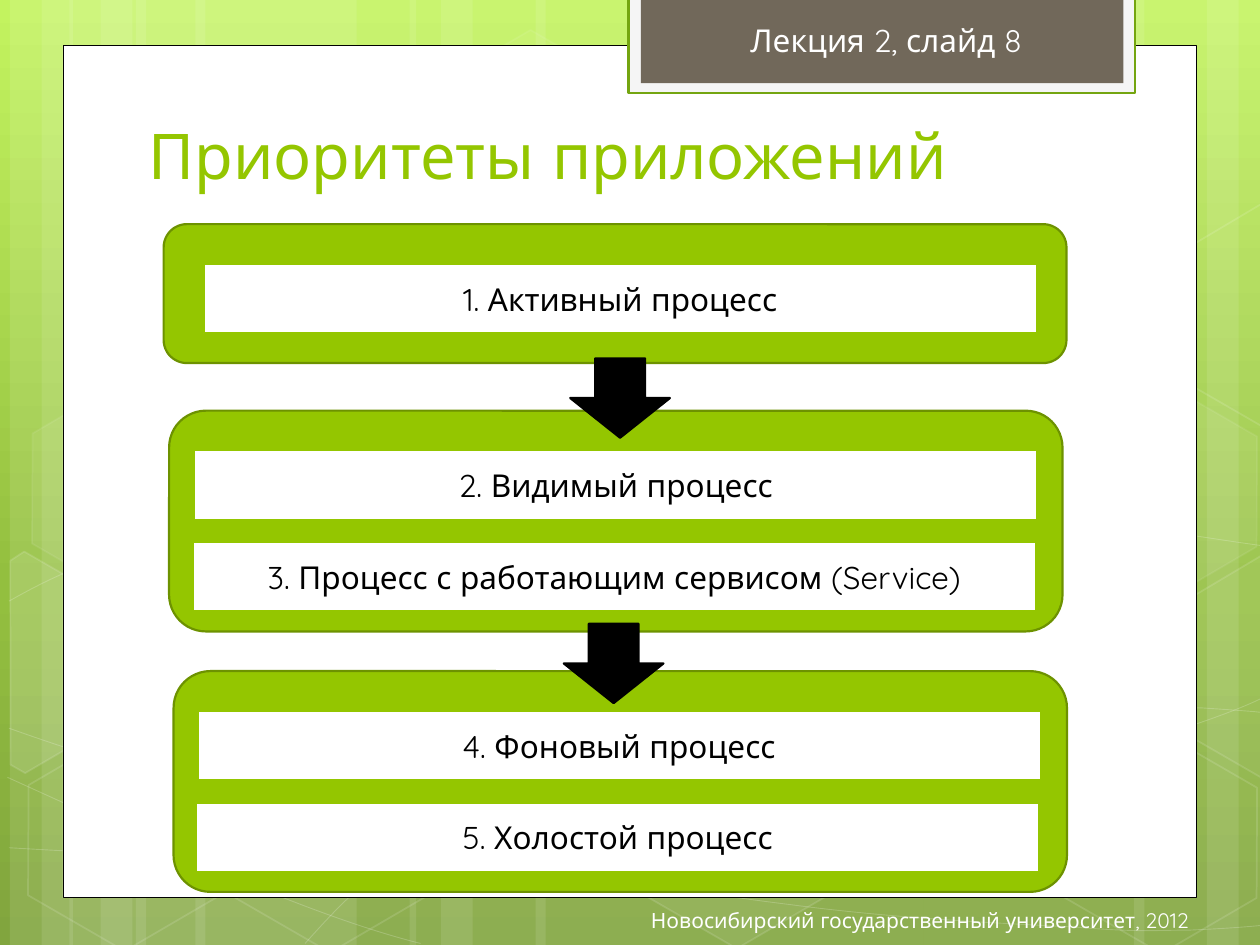
from copy import deepcopy

from lxml import etree
from pptx import Presentation
from pptx.dml.color import RGBColor
from pptx.enum.lang import MSO_LANGUAGE_ID
from pptx.enum.shapes import MSO_SHAPE
from pptx.enum.text import MSO_ANCHOR, PP_ALIGN
from pptx.oxml.ns import qn
from pptx.util import Cm, Pt

RECTANGLE = MSO_SHAPE.RECTANGLE
ROUNDED = MSO_SHAPE.ROUNDED_RECTANGLE
HEXAGON = MSO_SHAPE.HEXAGON
RIGHT_ARROW = MSO_SHAPE.RIGHT_ARROW
TOP, MIDDLE, BOTTOM = MSO_ANCHOR.TOP, MSO_ANCHOR.MIDDLE, MSO_ANCHOR.BOTTOM
LEFT, CENTER, RIGHT = PP_ALIGN.LEFT, PP_ALIGN.CENTER, PP_ALIGN.RIGHT
RUSSIAN = MSO_LANGUAGE_ID.RUSSIAN

WIDTH, HEIGHT = 25.4, 19.05
FONT = "Quicksand"
WHITE, BLACK, GREEN, DARK_GREEN = "FFFFFF", "000000", "94C600", "6D9200"
GRADIENT = [(0, "C3F35F"), (0.62, "93BF3F"), (1, "81A53E")]

BARS = [(2.74, 4.45), (0.2, 1.27), (0.84, 2.11), (3.94, 4.45), (1.4, 1.27), (2.03, 2.11),
        (18.62, 4.45), (24.33, 1.27), (22.86, 2.11), (10.8, 7.82), (8.26, 1.27), (8.89, 2.11)]
CURVES = [
    [(0.18, 17.09), (1.55, 17.17), (2.92, 17.25), (4.83, 17.22), (6.73, 17.2), (9.09, 17.15),
     (11.63, 16.89), (14.17, 16.64), (17.78, 16.15), (20.12, 15.67), (22.43, 15.19),
     (24.82, 14.43), (25.58, 14)],
    [(0.18, 12.12), (0.91, 11.71), (1.65, 11.33), (3.07, 10.95), (4.52, 10.57), (6.58, 10.01),
     (8.81, 9.83), (11.07, 9.65), (13.82, 9.63), (16.61, 9.83), (19.41, 10.03),
     (24.05, 10.82), (25.58, 11.02)],
    [(0.15, 15.67), (3.23, 17.07), (6.27, 18.47), (8.48, 19.02)],
    [(0.18, 14.68), (0.97, 14.96), (1.78, 15.24), (3.25, 15.65), (4.72, 16.03), (6.93, 16.66),
     (9.07, 17.09), (11.18, 17.53), (13.84, 17.98), (15.95, 18.24), (18.06, 18.52),
     (20.32, 18.62), (21.67, 18.69), (22.99, 18.8), (23.34, 18.75), (24, 18.75),
     (24.66, 18.72), (25.12, 18.69), (25.58, 18.64)],
    [(6.15, 19.02), (6.6, 18.52), (7.06, 18.01), (7.67, 17.55), (8.28, 17.09), (9.14, 16.59),
     (9.86, 16.23), (10.57, 15.88), (11, 15.72), (11.94, 15.47), (12.85, 15.21),
     (14.55, 14.86), (15.44, 14.68), (16.36, 14.5), (16.48, 14.5), (17.27, 14.45),
     (18.06, 14.38), (19.3, 14.3), (20.17, 14.27), (21.06, 14.25), (22.5, 14.27),
     (22.5, 14.27), (23.07, 14.27), (23.64, 14.27), (24.21, 14.27), (24.66, 14.3),
     (25.1, 14.33), (25.32, 14.35), (25.55, 14.38), (25.48, 14.35), (25.55, 14.38)],
]
HEXAGONS = [(8.48, 0.91, 4, 8), (12.62, 14.96, 6, 12), (0.28, 15.01, 0, 12),
            (0.36, 7.92, 7, 8), (4.42, 15.04, 0, 12), (19.13, 11.51, 10, 12),
            (21.18, 15.06, 0, 12), (21.18, 7.98, 7, 8)]
LEFT_CUT = [(0, 0.3), (0.15, 0), (2.4, 0), (3.5, 1.93), (2.4, 3.86), (2.06, 3.86)]
RIGHT_CUT = [(0, 1.91), (1.07, 0), (1.32, 0), (3.45, 3.68), (3.33, 3.86), (1.09, 3.86)]
CUT_HEXAGONS = [(-0.84, 11.66, LEFT_CUT, 10), (23.29, 11.28, RIGHT_CUT, 4),
                (23.29, 4.19, RIGHT_CUT, 0)]

PANELS = [
    ((3.3, 4.52, 18.2, 2.8), 0.81, 16.79, ["1. Активный процесс"]),
    ((3.41, 8.28, 18.01, 4.45), 0.51, 16.99,
     ["2. Видимый процесс", "3. Процесс с работающим сервисом (Service)"]),
    ((3.5, 13.53, 18.01, 4.45), 0.49, 16.99, ["4. Фоновый процесс", "5. Холостой процесс"]),
]
ARROWS = [(11.7, 7.02, 1.6, 2.01), (11.57, 12.37, 1.6, 2.01)]


def color(value):
    """Turn a hex string into a colour."""
    return RGBColor.from_string(value)


def paint(target, value, opacity=100):
    """Give a fill one colour, or none when it is absent or fully clear."""
    if value is None or opacity == 0:
        target.background()
        return
    target.solid()
    target.fore_color.rgb = color(value)


def style(shape, fill, line=None, width=1.25, fill_opacity=100, line_opacity=100):
    """Set fill, outline and opacities, and drop the shadow."""
    shape.shadow.inherit = False
    paint(shape.fill, fill, fill_opacity)
    paint(shape.line.fill, line, line_opacity)
    if line:
        shape.line.width = Pt(width)
    properties = shape.element.spPr
    for where, opacity in (("a:solidFill", fill_opacity), ("a:ln/a:solidFill", line_opacity)):
        steps = "/".join(qn(step) for step in f"{where}/a:srgbClr".split("/"))
        node = properties.find(steps)
        if node is not None and opacity < 100:
            etree.SubElement(node, qn("a:alpha"), val=str(opacity * 1000))
    return shape


def add_block(slide, kind, box, fill, **look):
    """Add a styled preset shape in a box."""
    shape = slide.shapes.add_shape(kind, *map(Cm, box))
    return style(shape, fill, **look)


def add_outline(slide, points, closed, fill, **look):
    """Add a styled outline through points."""
    places = [(Cm(x), Cm(y)) for x, y in points]
    builder = slide.shapes.build_freeform(*places[0])
    builder.add_line_segments(places[1:], close=closed)
    return style(builder.convert_to_shape(), fill, **look)


def bend(shape):
    """Join each three line segments of an outline into one cubic curve."""
    segments = list(shape.element.iter(qn("a:lnTo")))
    for start in range(0, len(segments), 3):
        group = segments[start:start + 3]
        curve = etree.Element(qn("a:cubicBezTo"))
        group[0].addprevious(curve)
        for segment in group:
            curve.append(segment[0])
            segment.getparent().remove(segment)


def write(shape, text, size, value, alignment, anchor, wrap=True):
    """Write one formatted paragraph into a shape."""
    frame = shape.text_frame
    for name, setting in {"word_wrap": wrap, "vertical_anchor": anchor}.items():
        setattr(frame, name, setting)
    paragraph = frame.paragraphs[0]
    paragraph.alignment = alignment
    run = paragraph.add_run()
    run.text = text
    for name, setting in {"name": FONT, "size": Pt(size), "language_id": RUSSIAN}.items():
        setattr(run.font, name, setting)
    run.font.color.rgb = color(value)


def add_label(slide, box, *text_format, **options):
    """Add a text box with one paragraph."""
    write(slide.shapes.add_textbox(*map(Cm, box)), *text_format, **options)


def add_background(slide):
    """Fill the slide with a vertical gradient of three stops."""
    fill = slide.background.fill
    fill.gradient()
    fill.gradient_angle = 270
    stop_list = next(slide.element.iter(qn("a:gsLst")))
    stop_list.insert(1, deepcopy(stop_list[0]))
    for stop, (position, value) in zip(fill.gradient_stops, GRADIENT):
        stop.position = position
        stop.color.rgb = color(value)


def add_backdrop(slide):
    """Draw translucent bars, curves and hexagons."""
    for left, width in BARS:
        add_block(slide, RECTANGLE, (left, 0, width, HEIGHT), WHITE, fill_opacity=10)
    for controls in CURVES:
        bend(add_outline(slide, controls, False, None, line=WHITE, width=0.5, line_opacity=20))
    for left, top, fill_opacity, line_opacity in HEXAGONS:
        shape = add_block(slide, HEXAGON, (left, top, 4.45, 3.86), WHITE, line=WHITE, width=1,
                          fill_opacity=fill_opacity, line_opacity=line_opacity)
        shape.rotation = 30
        shape.adjustments[0] = 0.285
    for left, top, corners, fill_opacity in CUT_HEXAGONS:
        points = [(left + x, top + y) for x, y in corners]
        add_outline(slide, points, True, WHITE, line=WHITE, width=1,
                    fill_opacity=fill_opacity, line_opacity=12).rotation = 30


def add_page(slide):
    """Draw the white page with its tab, title and footer."""
    add_block(slide, RECTANGLE, (1.27, 0.91, 22.86, 17.19), WHITE, line=BLACK, width=0.5)
    add_block(slide, RECTANGLE, (12.67, -0.05, 10.21, 1.93), "F5F5F5", line="74A510")
    add_block(slide, RECTANGLE, (12.92, -0.05, 9.73, 1.73), "71685A")
    add_label(slide, (2.74, 2.11, 19.51, 1.88), "Приоритеты приложений", 36, GREEN, LEFT, BOTTOM)
    add_label(slide, (14.88, 0.3, 6.22, 1.02), "Лекция 2, слайд 8", 18, WHITE, LEFT, TOP,
              wrap=False)
    add_label(slide, (7.89, 18.03, 16.33, 1.02), "Новосибирский государственный университет, 2012",
              12, WHITE, RIGHT, MIDDLE)


def add_panel(slide, box, inset, width, names):
    """Draw a rounded panel with stacked process boxes."""
    add_block(slide, ROUNDED, box, GREEN, line=DARK_GREEN)
    for index, name in enumerate(names):
        place = (box[0] + inset - 0.03 * index, box[1] + 0.8 + 1.85 * index, width, 1.4)
        shape = add_block(slide, RECTANGLE, place, WHITE, line=GREEN)
        write(shape, name, 18, BLACK, CENTER, MIDDLE)


def main():
    """Build and save the slide."""
    presentation = Presentation()
    presentation.slide_width, presentation.slide_height = Cm(WIDTH), Cm(HEIGHT)
    slide = presentation.slides.add_slide(presentation.slide_layouts[6])
    add_background(slide)
    add_backdrop(slide)
    add_page(slide)
    for panel in PANELS:
        add_panel(slide, *panel)
    for box in ARROWS:
        add_block(slide, RIGHT_ARROW, box, BLACK, line=BLACK).rotation = 90
    presentation.save("out.pptx")


if __name__ == "__main__":
    main()
